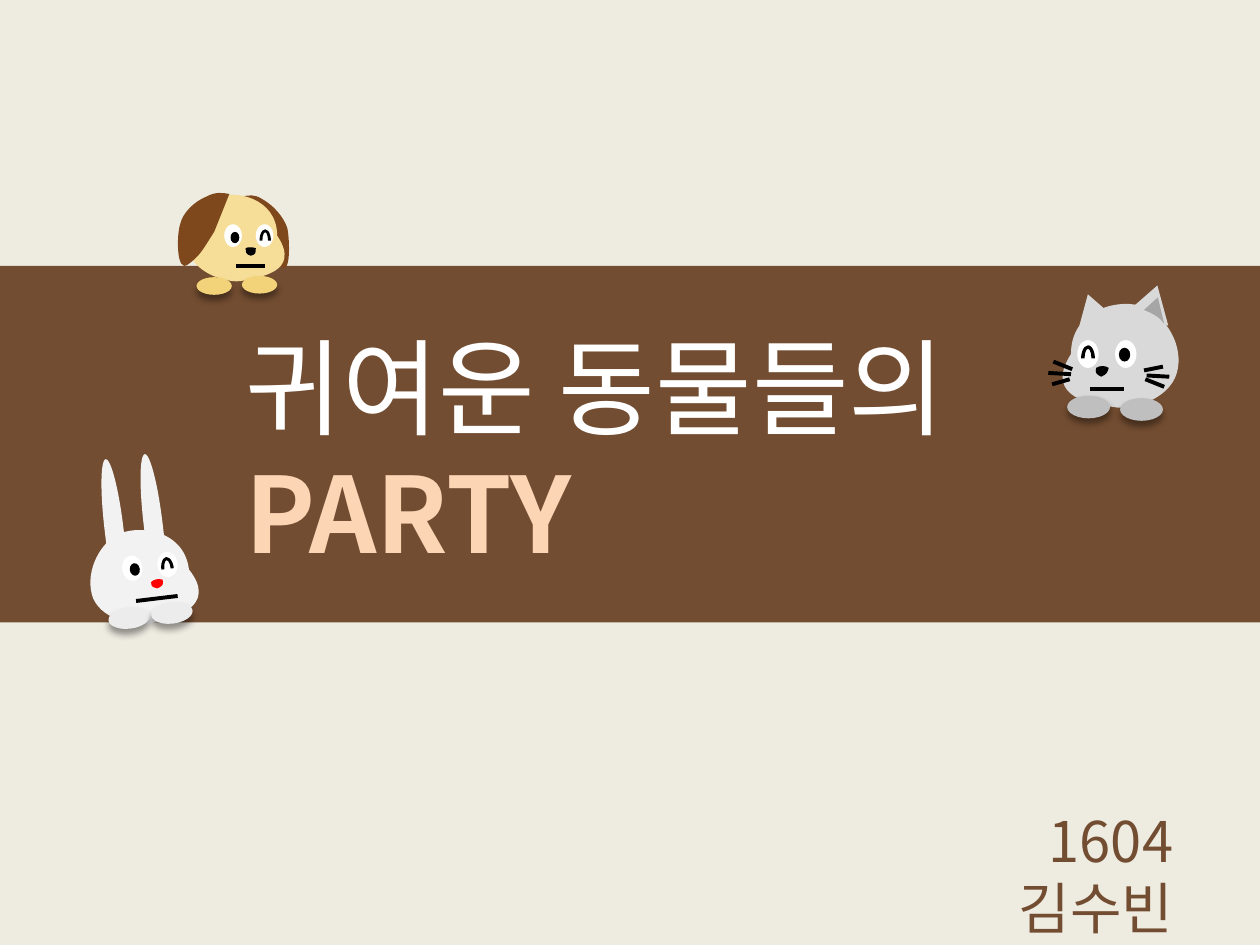
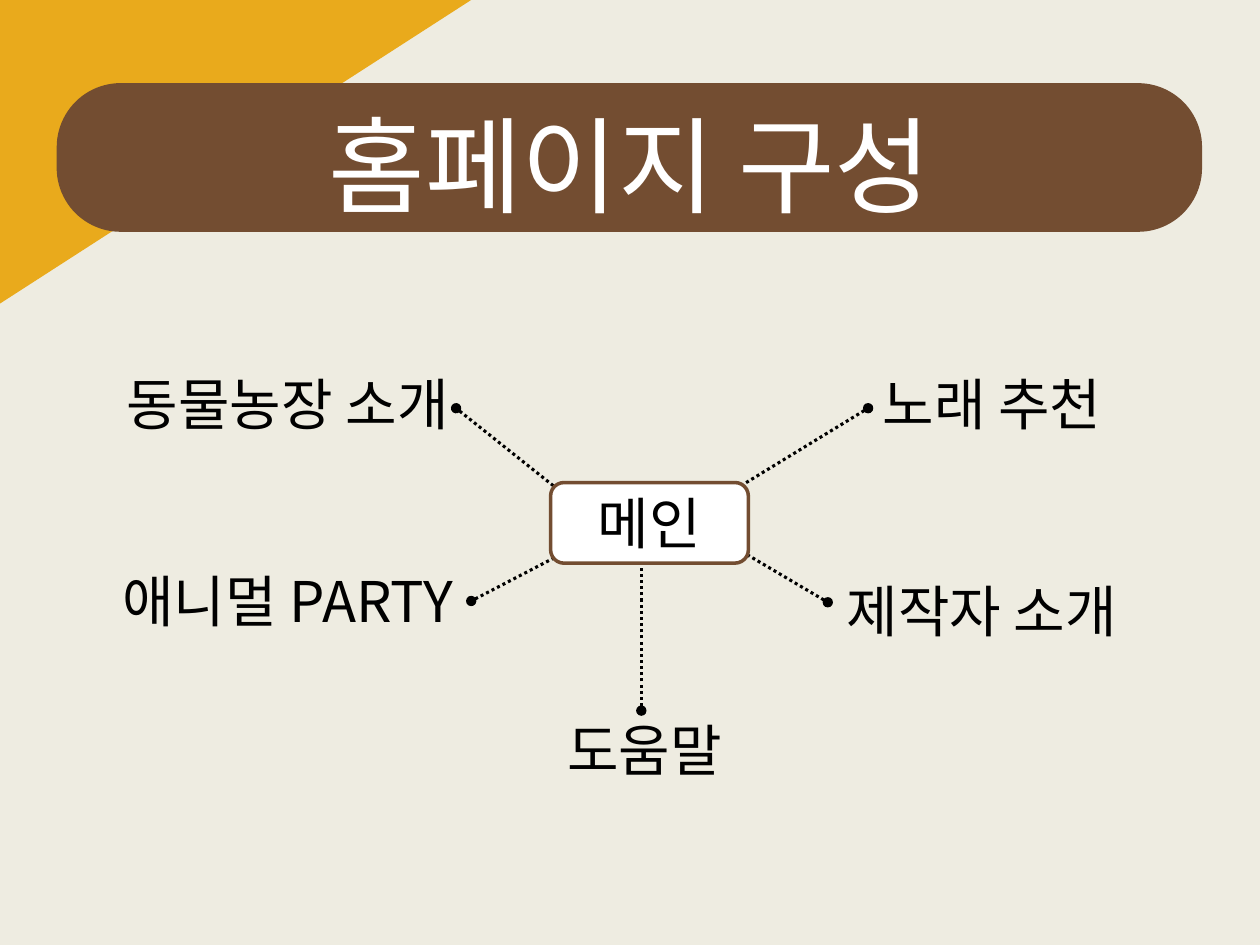
from lxml import etree
from pptx import Presentation
from pptx.dml.color import RGBColor
from pptx.enum.dml import MSO_LINE
from pptx.enum.shapes import MSO_CONNECTOR, MSO_SHAPE
from pptx.enum.text import MSO_AUTO_SIZE, PP_ALIGN
from pptx.oxml.ns import qn
from pptx.util import Inches, Pt

STRAIGHT = MSO_CONNECTOR.STRAIGHT
DOTTED = MSO_LINE.ROUND_DOT
RECTANGLE, ROUNDED = MSO_SHAPE.RECTANGLE, MSO_SHAPE.ROUNDED_RECTANGLE
CORNER, TRIANGLE = MSO_SHAPE.RIGHT_TRIANGLE, MSO_SHAPE.ISOSCELES_TRIANGLE
EYE, WINK = MSO_SHAPE.FLOWCHART_CONNECTOR, MSO_SHAPE.BLOCK_ARC
FOOT, LONG_EAR = MSO_SHAPE.OVAL, MSO_SHAPE.FLOWCHART_DELAY
JUSTIFY, CENTER, RIGHT = PP_ALIGN.JUSTIFY, PP_ALIGN.CENTER, PP_ALIGN.RIGHT
FIT = MSO_AUTO_SIZE.SHAPE_TO_FIT_TEXT

THEME = {
    "font": "Noto Sans CJK KR",
    "background": "EEECE1", "brown": "734D31", "peach": "FCD5B5", "gold": "E9AA1C",
    "white": "FFFFFF", "black": "000000", "red": "FF0000",
    "dog ear": "7E481C", "dog": "F6DD98", "dog foot": "F3D379",
    "rabbit": "F2F2F2", "rabbit foot": "ECECEC",
    "cat": "D9D9D9", "cat ear": "A6A6A6", "cat foot": "BFBFBF",
    "title size": 60, "body size": 32,
    "face line": 2.25, "branch line": 1.75, "hub line": 2,
}
TITLE = {"size": Pt(THEME["title size"])}
BODY = {"size": Pt(THEME["body size"])}

# Content: cover
COVER_LINES = [("귀여운 동물들의", "white", TITLE),
               ("PARTY", "peach", {**TITLE, "bold": True})]
AUTHOR = "1604 김수빈"

# Each animal is drawn back to front:
#   ("shape", preset, frame, colour), ("line", start, end),
#   ("outline", colour, start point, segments of 1 point (line) or 3 (curve))
DOG = {"tilt": 0, "parts": [
    ("outline", "dog ear", (2.28, 1.81), [
        [(2.25, 1.72), (2.17, 1.63), (2.08, 1.58)], [(2.02, 1.54), (1.97, 1.55), (1.93, 1.56)],
        [(2.04, 1.86)], [(2.12, 2), (2.15, 2.05), (2.23, 2.12)],
        [(2.31, 2.19), (2.3, 1.9), (2.28, 1.81)]]),
    ("outline", "dog", (1.5, 2), [
        [(1.45, 1.83), (1.57, 1.63), (1.71, 1.57)], [(1.86, 1.5), (2.2, 1.57), (2.2, 1.87)],
        [(2.4, 2.17), (2.04, 2.2), (1.92, 2.23)], [(1.8, 2.25), (1.55, 2.17), (1.5, 2)]]),
    ("shape", EYE, (1.78, 1.78, 0.14, 0.18), "white"),
    ("shape", EYE, (2.03, 1.78, 0.14, 0.18), "white"),
    ("shape", EYE, (1.83, 1.84, 0.07, 0.09), "black"),
    ("shape", WINK, (2.06, 1.82, 0.09, 0.18), "black"),
    ("outline", "black", (1.95, 1.97), [
        [(1.95, 2), (1.95, 2.02), (1.99, 2.03)], [(2.03, 2.02), (2.03, 2.01), (2.03, 1.97)],
        [(2, 1.96), (1.97, 1.96), (1.95, 1.97)]]),
    ("outline", "dog ear", (1.43, 1.78), [
        [(1.45, 1.69), (1.54, 1.6), (1.64, 1.56)], [(1.71, 1.52), (1.77, 1.53), (1.82, 1.54)],
        [(1.7, 1.84)], [(1.61, 1.98), (1.59, 2.03), (1.49, 2.1)],
        [(1.4, 2.17), (1.4, 1.87), (1.43, 1.78)]]),
    ("line", (1.87, 2.11), (2.1, 2.11)),
    ("shape", FOOT, (1.56, 2.2, 0.28, 0.14), "dog foot"),
    ("shape", FOOT, (1.92, 2.19, 0.28, 0.14), "dog foot"),
]}
RABBIT = {"tilt": -6.8, "parts": [
    ("outline", "rabbit", (0.74, 4.75), [
        [(0.67, 4.57), (0.77, 4.34), (0.92, 4.25)], [(1.07, 4.16), (1.46, 4.19), (1.5, 4.52)],
        [(1.74, 4.82), (1.36, 4.91), (1.23, 4.94)], [(1.1, 4.98), (0.82, 4.93), (0.74, 4.75)]]),
    ("shape", LONG_EAR, (0.66, 4.08, 1.11, 0.15), "rabbit", -96.8),
    ("shape", LONG_EAR, (0.35, 4.12, 1.11, 0.15), "rabbit", -96.8),
    ("shape", EYE, (0.97, 4.41, 0.16, 0.2), "white"),
    ("shape", EYE, (1.25, 4.38, 0.16, 0.2), "white"),
    ("shape", EYE, (1.03, 4.47, 0.08, 0.1), "black"),
    ("shape", WINK, (1.28, 4.42, 0.1, 0.19), "black"),
    ("outline", "red", (1.2, 4.62), [
        [(1.2, 4.65), (1.2, 4.66), (1.25, 4.67)], [(1.29, 4.65), (1.3, 4.64), (1.29, 4.6)],
        [(1.25, 4.59), (1.22, 4.6), (1.2, 4.62)]]),
    ("line", (1.08, 4.77), (1.41, 4.73)),
    ("shape", FOOT, (0.86, 4.82, 0.33, 0.17), "rabbit foot"),
    ("shape", FOOT, (1.2, 4.78, 0.33, 0.17), "rabbit foot"),
]}
CAT = {"tilt": 0, "parts": [
    ("outline", "cat", (9.34, 2.96), [
        [(9.4, 2.75), (9.26, 2.52), (9.09, 2.44)], [(8.91, 2.36), (8.5, 2.44), (8.5, 2.81)],
        [(8.27, 3.17), (8.7, 3.21), (8.84, 3.23)], [(8.98, 3.26), (9.28, 3.17), (9.34, 2.96)]]),
    ("outline", "black", (8.8, 2.92), [
        [(8.79, 2.95), (8.79, 2.97), (8.74, 2.99)], [(8.7, 2.97), (8.69, 2.96), (8.7, 2.92)],
        [(8.73, 2.9), (8.77, 2.9), (8.8, 2.92)]]),
    ("shape", EYE, (8.85, 2.7, 0.17, 0.22), "white"),
    ("shape", EYE, (8.55, 2.7, 0.17, 0.22), "white"),
    ("shape", EYE, (8.88, 2.76, 0.09, 0.11), "black"),
    ("shape", WINK, (8.58, 2.74, 0.11, 0.21), "black"),
    ("line", (8.92, 3.09), (8.65, 3.09)),
    ("shape", TRIANGLE, (8.97, 2.26, 0.35, 0.28), "cat", 16.8),
    ("shape", TRIANGLE, (8.5, 2.33, 0.35, 0.28), "cat", -16.8),
    ("outline", "cat ear", (9.24, 2.57), [
        [(9.19, 2.36)], [(9.08, 2.46)], [(9.15, 2.49), (9.21, 2.52), (9.24, 2.57)]]),
    ("line", (8.51, 2.93), (8.36, 2.87)),
    ("line", (9.23, 2.91), (9.08, 2.94)),
    ("line", (9.28, 2.99), (9.1, 2.98)),
    ("line", (9.24, 3.07), (9.09, 3.01)),
    ("line", (8.49, 3.01), (8.35, 3.05)),
    ("line", (8.5, 2.97), (8.32, 2.96)),
    ("shape", FOOT, (8.89, 3.16, 0.34, 0.18), "cat foot"),
    ("shape", FOOT, (8.47, 3.14, 0.34, 0.18), "cat foot"),
]}

# Content: site map, each branch as label, label corner, line start, line end
SITE_TITLE = "홈페이지 구성"
HUB = ("메인", (4.37, 3.83, 1.57, 0.64))
LABEL_SIZE = (4.17, 0.64)
BRANCHES = [
    ("동물농장 소개", (0.2, 2.88), (3.62, 3.24), (4.41, 3.87)),
    ("애니멀 PARTY", (0.2, 4.45), (3.74, 4.77), (5.47, 3.87)),
    ("노래 추천", (5.79, 2.88), (6.89, 3.24), (5.12, 4.32)),
    ("제작자 소개", (5.71, 4.53), (6.57, 4.78), (5.79, 4.32)),
    ("도움말", (3.03, 5.63), (5.09, 5.64), (5.09, 4.15)),
]


def inches(values):
    return [Inches(value) for value in values]


def color(name):
    return RGBColor.from_string(THEME[name])


def paint(shape, fill):
    shape.fill.solid()
    shape.fill.fore_color.rgb = color(fill)
    shape.line.fill.background()
    shape.shadow.inherit = False
    return shape


def add_shape(shapes, preset, frame, fill, rotation=0):
    shape = paint(shapes.add_shape(preset, *inches(frame)), fill)
    shape.rotation = rotation
    return shape


def add_foot_shadow(shape):
    effects = shape._element.spPr.find(qn("a:effectLst"))
    shadow = etree.SubElement(effects, qn("a:outerShdw"), blurRad=str(Pt(4)),
                              dist=str(Pt(3)), dir="5400000", rotWithShape="0")
    shade = etree.SubElement(shadow, qn("a:srgbClr"), val=THEME["black"])
    etree.SubElement(shade, qn("a:alpha"), val="40000")


def add_outline(shapes, fill, start, segments):
    builder = shapes.build_freeform(*inches(start))
    builder.add_line_segments([inches(segment[-1]) for segment in segments], close=True)
    shape = paint(builder.convert_to_shape(), fill)

    # Bend the segments that have control points
    sides = list(shape._element.spPr.iter(qn("a:lnTo")))
    for side, segment in zip(sides, segments):
        if len(segment) == 3:
            curve = etree.Element(qn("a:cubicBezTo"))
            for x, y in segment:
                etree.SubElement(curve, qn("a:pt"), x=str(Inches(x) - shape.left),
                                 y=str(Inches(y) - shape.top))
            side.getparent().replace(side, curve)


def add_line(shapes, start, end, width="face line"):
    connector = shapes.add_connector(STRAIGHT, *inches(start + end))
    connector.line.color.rgb = color("black")
    connector.line.width = Pt(THEME[width])
    etree.SubElement(connector._element.spPr, qn("a:effectLst"))
    return connector


def add_text(shapes, frame, lines, alignment=CENTER, wrap=True):
    text_frame = shapes.add_textbox(*inches(frame)).text_frame
    text_frame.word_wrap = wrap
    text_frame.auto_size = FIT
    for index, (text, ink, formats) in enumerate(lines):
        paragraph = text_frame.add_paragraph() if index else text_frame.paragraphs[0]
        paragraph.alignment = alignment
        run = paragraph.add_run()
        run.text = text
        for name, value in {"name": THEME["font"], **formats}.items():
            setattr(run.font, name, value)
        run.font.color.rgb = color(ink)
        etree.SubElement(run._r.get_or_add_rPr(), qn("a:ea"), typeface=THEME["font"])


def add_animal(slide, animal):
    shapes = slide.shapes.add_group_shape().shapes
    for kind, *part in animal["parts"]:
        if kind == "outline":
            add_outline(shapes, *part)
        elif kind == "line":
            add_line(shapes, *part)
        else:
            preset, frame, fill, *rotation = part
            shape = add_shape(shapes, preset, frame, fill, *(rotation or [animal["tilt"]]))
            if preset == FOOT:
                add_foot_shadow(shape)


def add_slide(presentation):
    slide = presentation.slides.add_slide(presentation.slide_layouts[6])
    slide.background.fill.solid()
    slide.background.fill.fore_color.rgb = color("background")
    return slide


def build_cover(presentation):
    slide = add_slide(presentation)
    add_text(slide.shapes, (7.13, 6.35, 2.28, 0.64), [(AUTHOR, "brown", BODY)], RIGHT)
    add_shape(slide.shapes, RECTANGLE, (0, 2.11, 10, 2.83), "brown")
    add_text(slide.shapes, (1.85, 2.51, 6.3, 2.12), COVER_LINES, JUSTIFY)
    for animal in (DOG, RABBIT, CAT):
        add_animal(slide, animal)


def build_site_map(presentation):
    slide = add_slide(presentation)

    # Corner and title band
    corner = add_shape(slide.shapes, CORNER, (0, 0, 3.74, 2.41), "gold")
    corner._element.spPr.xfrm.set("flipV", "1")
    heading = slide.shapes.add_group_shape().shapes
    band = add_shape(heading, ROUNDED, (0.45, 0.66, 9.09, 1.18), "brown")
    band.adjustments[0] = 0.43
    add_text(heading, (2.25, 0.75, 5.5, 1.11), [(SITE_TITLE, "white", TITLE)], wrap=False)

    # Labels, then branches that run behind the hub
    site_map = slide.shapes.add_group_shape().shapes
    for label, label_corner, _, _ in BRANCHES:
        add_text(site_map, label_corner + LABEL_SIZE, [(label, "black", BODY)])
    for _, _, start, end in BRANCHES:
        branch = add_line(site_map, start, end, "branch line")
        branch.line.dash_style = DOTTED
        etree.SubElement(branch.line._get_or_add_ln(), qn("a:headEnd"), type="oval")

    # Hub
    hub_label, hub_frame = HUB
    hub = add_shape(site_map, ROUNDED, hub_frame, "white")
    hub.line.color.rgb = color("brown")
    hub.line.width = Pt(THEME["hub line"])
    add_text(site_map, hub_frame, [(hub_label, "black", BODY)])


def main():
    presentation = Presentation()
    presentation.slide_width, presentation.slide_height = Inches(10), Inches(7.5)
    build_cover(presentation)
    build_site_map(presentation)
    presentation.save("out.pptx")


if __name__ == "__main__":
    main()
